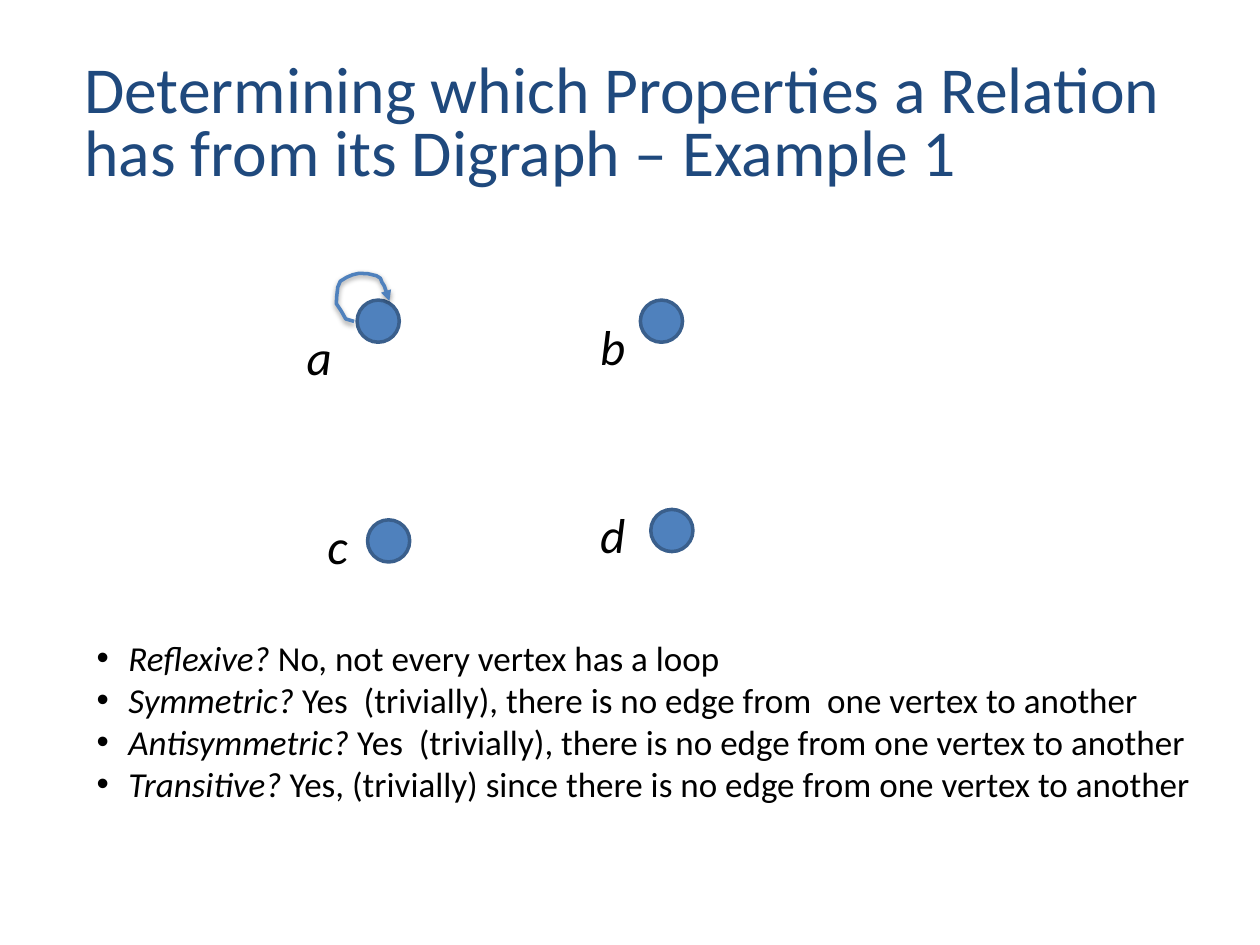
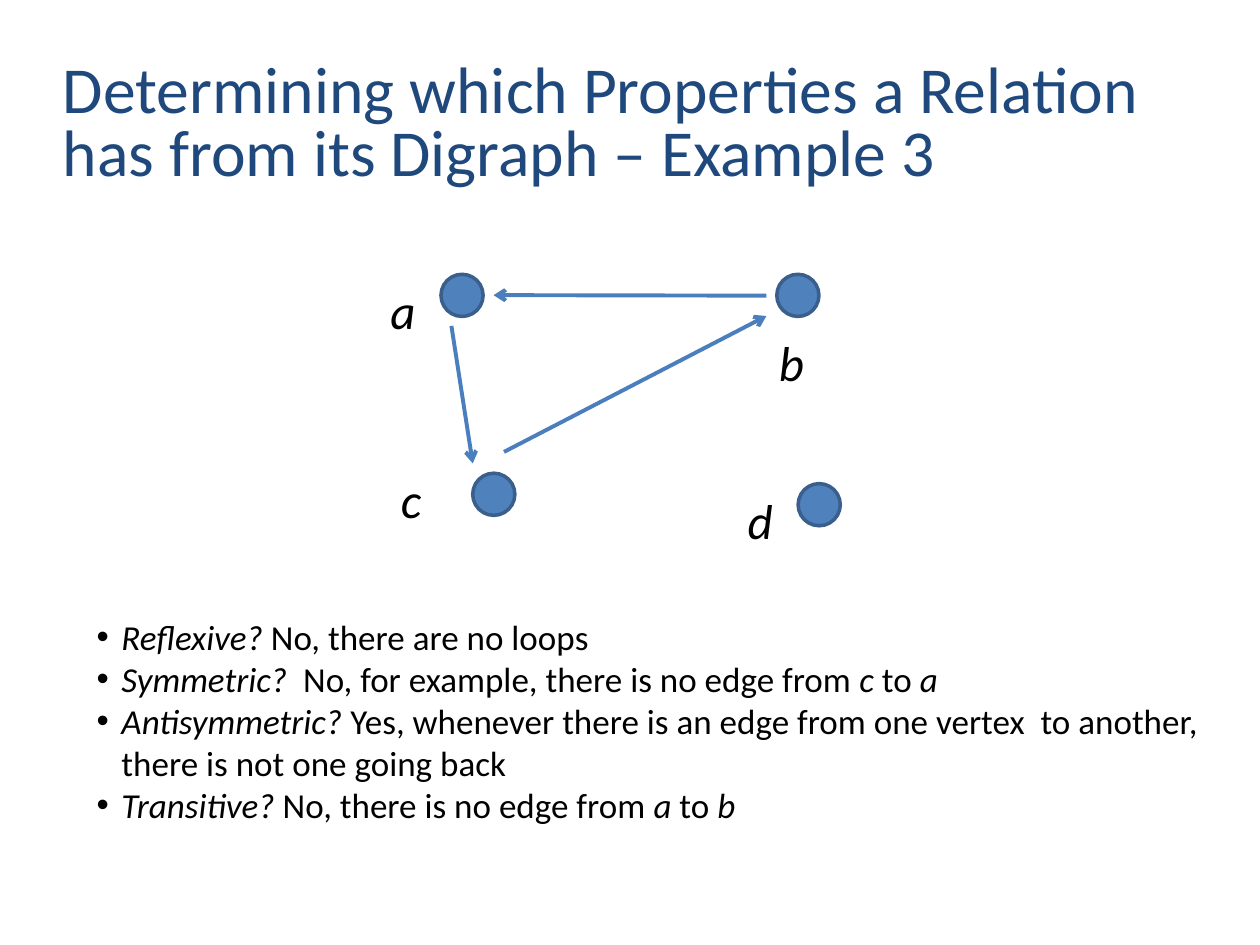
from lxml import etree
from pptx import Presentation
from pptx.dml.color import RGBColor
from pptx.enum.shapes import MSO_CONNECTOR, MSO_SHAPE
from pptx.enum.text import MSO_ANCHOR, MSO_AUTO_SIZE
from pptx.oxml import parse_xml
from pptx.oxml.ns import nsdecls, qn
from pptx.util import Cm, Pt

OVAL = MSO_SHAPE.OVAL
STRAIGHT = MSO_CONNECTOR.STRAIGHT
TOP, BOTTOM = MSO_ANCHOR.TOP, MSO_ANCHOR.BOTTOM
GROW, FIXED = MSO_AUTO_SIZE.SHAPE_TO_FIT_TEXT, MSO_AUTO_SIZE.NONE

FONT = "Calibri"
TITLE_COLOR, TEXT_COLOR = "1F497D", "000000"
NODE_FILL, NODE_LINE, EDGE_COLOR = "4F81BD", "3A5F8C", "4B7EBC"
NODE_SIZE = 0.85
LABEL_WIDTH, LABEL_HEIGHT = 1.07, 1.45
TITLE = "Determining which Properties a Relation has from its Digraph – Example {}"

# Lengths are centimetres; text between asterisks is italic.
# Each vertex: name, top left of its circle, top left of its label.
EXAMPLES = [
    {
        "number": 1,
        "title_left": 1.7,
        "vertices": [
            ("a", (7.2, 6.05), (5.93, 6.46)),
            ("b", (12.91, 6.05), (11.85, 6.26)),
            ("c", (7.41, 10.48), (6.35, 10.27)),
            ("d", (13.12, 10.27), (11.85, 10.05)),
        ],
        "edges": [],
        "loops": [[
            (7.14, 6.48), (6.97, 6.43), (6.88, 6.27), (6.78, 6.12), (6.79, 5.96),
            (6.81, 5.79), (6.86, 5.67), (6.99, 5.59), (7.11, 5.54), (7.24, 5.51),
            (7.42, 5.52), (7.59, 5.56), (7.67, 5.61), (7.7, 5.69), (7.75, 5.77),
            (7.8, 5.92), (7.82, 5.97), (7.85, 6.07),
        ]],
        "answers_top": 12.7,
        "answers_height": 3.69,
        "indent": 0.64,
        "answers": [
            "*Reflexive?* No, not every vertex has a loop",
            "*Symmetric?* Yes  (trivially), there is no edge from  one vertex to another",
            "*Antisymmetric?* Yes  (trivially), there is no edge from one vertex to another",
            "*Transitive?* Yes, (trivially) since there is no edge from one vertex to another",
        ],
    },
    {
        "number": 3,
        "title_left": 1.27,
        "vertices": [
            ("a", (8.89, 5.53), (7.62, 5.53)),
            ("b", (15.66, 5.53), (15.45, 6.57)),
            ("c", (9.53, 9.54), (7.83, 9.34)),
            ("d", (16.09, 9.75), (14.82, 9.75)),
        ],
        "edges": [
            ((15.45, 5.96), (9.95, 5.95)),
            ((9.1, 6.57), (9.53, 9.34)),
            ((10.16, 9.11), (15.45, 6.37)),
        ],
        "loops": [],
        "answers_top": 12.27,
        "answers_height": 4.53,
        "indent": 0.5,
        "answers": [
            "*Reflexive?* No, there are no loops",
            "*Symmetric?*  No, for example, there is no edge from *c* to *a*",
            "*Antisymmetric?* Yes, whenever there is an edge from one vertex  to another, "
            "there is not one going back",
            "*Transitive?* No, there is no edge from *a* to *b*",
        ],
    },
]


def rgb(hex_color):
    return RGBColor.from_string(hex_color)


def set_line(shape, color, width):
    shape.line.color.rgb = rgb(color)
    shape.line.width = Pt(width)


def add_arrowhead(shape, kind):
    etree.SubElement(shape.line._get_or_add_ln(), qn("a:tailEnd"), type=kind)


def add_bullet(paragraph, indent):
    properties = paragraph._p.get_or_add_pPr()
    properties.set("marL", str(Cm(indent)))
    properties.set("indent", str(-Cm(indent)))
    etree.SubElement(properties, qn("a:buFont"), typeface="Arial")
    etree.SubElement(properties, qn("a:buChar"), char="•")


def add_text(slide, paragraphs, left, top, width, height, size, color=TEXT_COLOR,
             anchor=TOP, fit=GROW, side_margin=0.25, bottom_margin=0.13,
             line_spacing=None, indent=None):
    """Add a text box; asterisks in a paragraph switch italics on and off."""
    box = slide.shapes.add_textbox(Cm(left), Cm(top), Cm(width), Cm(height))
    frame = box.text_frame
    frame.word_wrap = True
    frame.auto_size = fit
    frame.vertical_anchor = anchor
    frame.margin_left = frame.margin_right = Cm(side_margin)
    frame.margin_top, frame.margin_bottom = Cm(0.13), Cm(bottom_margin)
    for number, text in enumerate(paragraphs):
        paragraph = frame.add_paragraph() if number else frame.paragraphs[0]
        if line_spacing:
            paragraph.line_spacing = line_spacing
        if indent:
            add_bullet(paragraph, indent)
        for position, part in enumerate(text.split("*")):
            if part:
                run = paragraph.add_run()
                run.text = part
                run.font.name = FONT
                run.font.size = Pt(size)
                run.font.italic = position % 2 == 1
                run.font.color.rgb = rgb(color)


def add_vertex(slide, left, top):
    circle = slide.shapes.add_shape(OVAL, Cm(left), Cm(top), Cm(NODE_SIZE), Cm(NODE_SIZE))
    circle.shadow.inherit = False
    circle.fill.solid()
    circle.fill.fore_color.rgb = rgb(NODE_FILL)
    set_line(circle, NODE_LINE, 2)


def add_edge(slide, start, end):
    edge = slide.shapes.add_connector(STRAIGHT, *(Cm(value) for value in start + end))
    set_line(edge, EDGE_COLOR, 2.25)
    add_arrowhead(edge, "arrow")
    etree.SubElement(edge._element.spPr, qn("a:effectLst"))


def add_loop(slide, points):
    start, *others = [(Cm(x), Cm(y)) for x, y in points]
    builder = slide.shapes.build_freeform(*start)
    builder.add_line_segments(others, close=False)
    loop = builder.convert_to_shape()
    loop.fill.background()
    set_line(loop, NODE_FILL, 2)
    add_arrowhead(loop, "triangle")
    loop._element.spPr.append(parse_xml(
        f'<a:effectLst {nsdecls("a")}>'
        f'<a:outerShdw blurRad="{Pt(3.1)}" dist="{Pt(1.6)}" dir="5400000" rotWithShape="0">'
        '<a:srgbClr val="000000"><a:alpha val="38000"/></a:srgbClr>'
        '</a:outerShdw></a:effectLst>'))


def add_example(presentation, example):
    slide = presentation.slides.add_slide(presentation.slide_layouts[6])
    add_text(slide, [TITLE.format(example["number"])], example["title_left"], 0.64,
             22.86, 3.18, size=37.5, color=TITLE_COLOR, anchor=BOTTOM, fit=FIXED,
             side_margin=0, bottom_margin=0, line_spacing=0.8)
    for name, circle, label in example["vertices"]:
        add_vertex(slide, *circle)
        add_text(slide, [f"*{name}*"], *label, LABEL_WIDTH, LABEL_HEIGHT, size=28)
    for start, end in example["edges"]:
        add_edge(slide, start, end)
    for points in example["loops"]:
        add_loop(slide, points)
    add_text(slide, example["answers"], 1.7, example["answers_top"], 23.07,
             example["answers_height"], size=20, indent=example["indent"])


def main():
    presentation = Presentation()
    presentation.slide_width, presentation.slide_height = Cm(25.4), Cm(19.05)
    for example in EXAMPLES:
        add_example(presentation, example)
    presentation.save("out.pptx")


if __name__ == "__main__":
    main()
